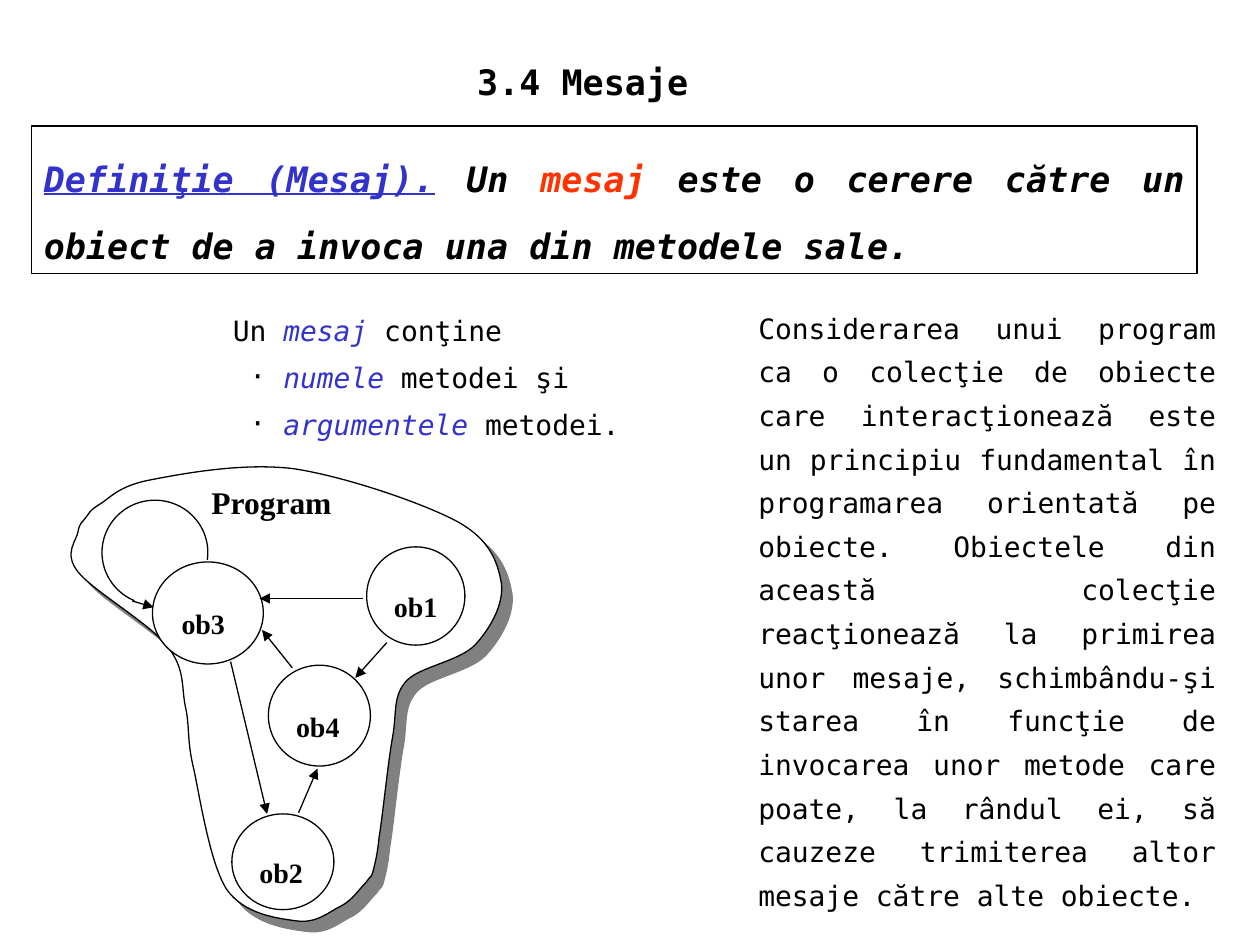
from lxml.etree import SubElement
from pptx import Presentation
from pptx.dml.color import RGBColor
from pptx.enum.shapes import MSO_CONNECTOR, MSO_SHAPE
from pptx.enum.text import MSO_ANCHOR, PP_ALIGN
from pptx.oxml.ns import qn
from pptx.util import Inches, Pt

COLORS = {"black": "000000", "white": "FFFFFF", "blue": "3333CC", "red": "FF3300", "shadow": "808080"}
MONO, SERIF = "DejaVu Sans Mono", "Times New Roman"

DEFINITION = [
    ("Definiţie (Mesaj).", "blue", {"underline": True}),
    (" Un ", "black", {}),
    ("mesaj", "red", {}),
    (" este o cerere către un obiect de a invoca una din metodele sale.", "black", {}),
]
ITALIC = {"italic": True}
CONTENTS_INTRO = [("Un ", "black", {}), ("mesaj", "blue", ITALIC), (" conţine", "black", {})]
CONTENTS_ITEMS = [
    [("numele", "blue", ITALIC), (" metodei şi", "black", {})],
    [("argumentele", "blue", ITALIC), (" metodei.", "black", {})],
]
PRINCIPLE = (
    "Considerarea unui program ca o colecţie de obiecte care interacţionează este un principiu "
    "fundamental în programarea orientată pe obiecte. Obiectele din această colecţie reacţionează "
    "la primirea unor mesaje, schimbându-şi starea în funcţie de invocarea unor metode care poate, "
    "la rândul ei, să cauzeze trimiterea altor mesaje către alte obiecte."
)
OBJECTS = {
    "ob1": (2.91, 4.34, 0.78, 0.78),
    "ob4": (2.13, 5.28, 0.81, 0.8),
    "ob2": (1.84, 6.46, 0.81, 0.76),
    "ob3": (1.21, 4.46, 0.88, 0.81),
}
MESSAGES = [
    (2.88, 4.75, 2.06, 4.75),
    (3.07, 5.1, 2.82, 5.38),
    (1.83, 5.25, 2.12, 6.46),
    (2.37, 6.45, 2.52, 6.1),
    (2.32, 5.3, 2.08, 5),
]
OUTLINE_BOX = (0.5, 3.67, 3.5, 3.67)
OUTLINE_START = (0.68, 4.11)
OUTLINE_CURVES = [
    (0.71, 4.08, 0.7, 4.06, 0.78, 4.01),
    (0.87, 3.96, 0.93, 3.86, 1.19, 3.81),
    (1.45, 3.76, 1.92, 3.67, 2.33, 3.72),
    (2.73, 3.78, 3.35, 3.99, 3.63, 4.14),
    (3.9, 4.29, 3.95, 4.47, 3.98, 4.63),
    (4, 4.8, 3.89, 4.99, 3.77, 5.12),
    (3.64, 5.25, 3.34, 5.29, 3.23, 5.4),
    (3.12, 5.52, 3.15, 5.63, 3.12, 5.83),
    (3.08, 6.04, 3.04, 6.46, 3.01, 6.64),
    (2.99, 6.83, 2.97, 6.87, 2.96, 6.92),
    (2.94, 6.98, 2.94, 6.95, 2.93, 6.97),
    (2.92, 6.98, 2.92, 6.99, 2.89, 7.02),
    (2.85, 7.06, 2.8, 7.14, 2.71, 7.19),
    (2.62, 7.23, 2.52, 7.33, 2.36, 7.31),
    (2.21, 7.29, 1.94, 7.26, 1.8, 7.06),
    (1.67, 6.86, 1.59, 6.35, 1.54, 6.11),
    (1.48, 5.87, 1.51, 5.77, 1.47, 5.6),
    (1.44, 5.44, 1.47, 5.31, 1.33, 5.13),
    (1.19, 4.95, 0.74, 4.69, 0.62, 4.54),
    (0.5, 4.39, 0.61, 4.29, 0.62, 4.22),
    (0.63, 4.15, 0.66, 4.14, 0.68, 4.11),
]


def rgb(name):
    """Return the named colour."""
    return RGBColor.from_string(COLORS[name])


def set_style(sp, fill=None):
    """Give a shape a thin black line, an optional fill and no shadow."""
    sp.shadow.inherit = False
    sp.line.color.rgb = rgb("black")
    sp.line.width = Pt(0.75)
    if fill:
        sp.fill.solid()
        sp.fill.fore_color.rgb = rgb(fill)
    else:
        sp.fill.background()


def set_frame(sp, anchor=MSO_ANCHOR.TOP):
    """Prepare a wrapping text frame and return it."""
    tf = sp.text_frame
    for name, value in {"word_wrap": True, "vertical_anchor": anchor}.items():
        setattr(tf, name, value)
    return tf


def write(p, runs, size, spacing, align=PP_ALIGN.LEFT, **font):
    """Write (text, colour, format) runs into a paragraph."""
    p.alignment, p.line_spacing = align, spacing
    for text, color, extra in runs:
        r = p.add_run()
        r.text = text
        r.font.color.rgb = rgb(color)
        for name, value in {"name": MONO, "size": Pt(size), **font, **extra}.items():
            setattr(r.font, name, value)


def add_text(shapes, box, text, size, spacing, anchor=MSO_ANCHOR.TOP, **style):
    """Add a text box with one black paragraph."""
    s = shapes.add_textbox(*map(Inches, box))
    tf = set_frame(s, anchor)
    tf.margin_right = 0 if anchor == MSO_ANCHOR.MIDDLE else Inches(0.1)
    write(tf.paragraphs[0], [(text, "black", {})], size, spacing, **style)


def add_definition(shapes):
    """Add the framed definition."""
    s = shapes.add_shape(MSO_SHAPE.RECTANGLE, *map(Inches, (0.25, 1, 9.25, 1.17)))
    set_style(s)
    tf = set_frame(s)
    write(tf.paragraphs[0], DEFINITION, 20, 1.6, PP_ALIGN.JUSTIFY, bold=True, italic=True)


def add_contents(shapes):
    """Add the bulleted list of what a message contains."""
    tf = set_frame(shapes.add_textbox(*map(Inches, (1.75, 2.33, 3.42, 1.22))))
    write(tf.paragraphs[0], CONTENTS_INTRO, 16, 1.4)
    for item in CONTENTS_ITEMS:
        p = tf.add_paragraph()
        pPr = p._p.get_or_add_pPr()
        pPr.set("marL", str(Inches(0.4)))
        pPr.set("indent", str(Inches(-0.27)))
        SubElement(SubElement(pPr, qn("a:buClr")), qn("a:srgbClr"), val=COLORS["black"])
        SubElement(pPr, qn("a:buFont"), typeface=MONO)
        SubElement(pPr, qn("a:buChar"), char="·")
        write(p, item, 16, 1.4)


def add_curve(outline, points):
    """Append one cubic Bézier segment to an outline."""
    segment = SubElement(outline, qn("a:cubicBezTo"))
    left, top = OUTLINE_BOX[:2]
    for x, y in zip(points[::2], points[1::2]):
        SubElement(segment, qn("a:pt"), x=str(Inches(x - left)), y=str(Inches(y - top)))


def add_program_outline(shapes):
    """Add the shadowed outline around the objects."""
    left, top, width, height = OUTLINE_BOX
    builder = shapes.build_freeform(Inches(left), Inches(top))
    builder.add_line_segments([(Inches(left + width), Inches(top + height))], close=True)
    s = builder.convert_to_shape()
    outline = next(s._element.spPr.iter(qn("a:path")))
    for segment in list(outline):
        outline.remove(segment)
    start = SubElement(outline, qn("a:moveTo"))
    x, y = OUTLINE_START
    SubElement(start, qn("a:pt"), x=str(Inches(x - left)), y=str(Inches(y - top)))
    for points in OUTLINE_CURVES:
        add_curve(outline, points)
    SubElement(outline, qn("a:close"))
    set_style(s, "white")
    effects = s._element.spPr.find(qn("a:effectLst"))
    shadow = SubElement(effects, qn("a:outerShdw"), blurRad="0", dist=str(Pt(8.5)),
                        dir="2700000", algn="ctr", rotWithShape="0")
    SubElement(shadow, qn("a:srgbClr"), val=COLORS["shadow"])


def add_object(shapes, name, box):
    """Add a labelled circle as a group and return the group."""
    group = shapes.add_group_shape()
    s = group.shapes.add_shape(MSO_SHAPE.OVAL, *map(Inches, box))
    set_style(s, "white")
    x, y, w, h = box
    label = (x + 0.15 * w, y + 0.15 * h + 0.11, 0.7 * w, 0.7 * h)
    add_text(group.shapes, label, name, 16, 0.78, MSO_ANCHOR.MIDDLE, name=SERIF, bold=True)
    return group


def add_arrow(shapes, ends):
    """Add a straight arrow."""
    s = shapes.add_connector(MSO_CONNECTOR.STRAIGHT, *map(Inches, ends))
    s.line.color.rgb = rgb("black")
    s.line.width = Pt(0.75)
    SubElement(s.line._get_or_add_ln(), qn("a:tailEnd"), type="triangle")
    SubElement(s._element.spPr, qn("a:effectLst"))


def add_self_message(shapes):
    """Add the loop of an object that sends itself a message."""
    s = shapes.add_shape(MSO_SHAPE.ARC, *map(Inches, (0.81, 3.97, 0.84, 0.83)))
    for i, degrees in enumerate((113, 8)):
        s.adjustments[i] = degrees * 0.6
    set_style(s)
    add_arrow(shapes, (1.05, 4.77, 1.22, 4.82))


def main():
    """Build the slide and save it."""
    prs = Presentation()
    prs.slide_width, prs.slide_height = Inches(10), Inches(7.5)
    shapes = prs.slides.add_slide(prs.slide_layouts[6]).shapes
    add_text(shapes, (1.25, 0.5, 6.75, 0.36), "3.4 Mesaje", 20, 0.78, align=PP_ALIGN.CENTER, bold=True)
    add_definition(shapes)
    add_contents(shapes)
    add_text(shapes, (5.92, 2.34, 3.83, 4.26), PRINCIPLE, 16, 1.3, align=PP_ALIGN.JUSTIFY)
    add_program_outline(shapes)
    groups = {name: add_object(shapes, name, box) for name, box in OBJECTS.items()}
    add_self_message(groups["ob3"].shapes)
    for ends in MESSAGES:
        add_arrow(shapes, ends)
    add_text(shapes, (1.58, 3.8, 1.42, 0.43), "Program", 18, 0.78, MSO_ANCHOR.MIDDLE, name=SERIF, bold=True)
    prs.save("out.pptx")


if __name__ == "__main__":
    main()
